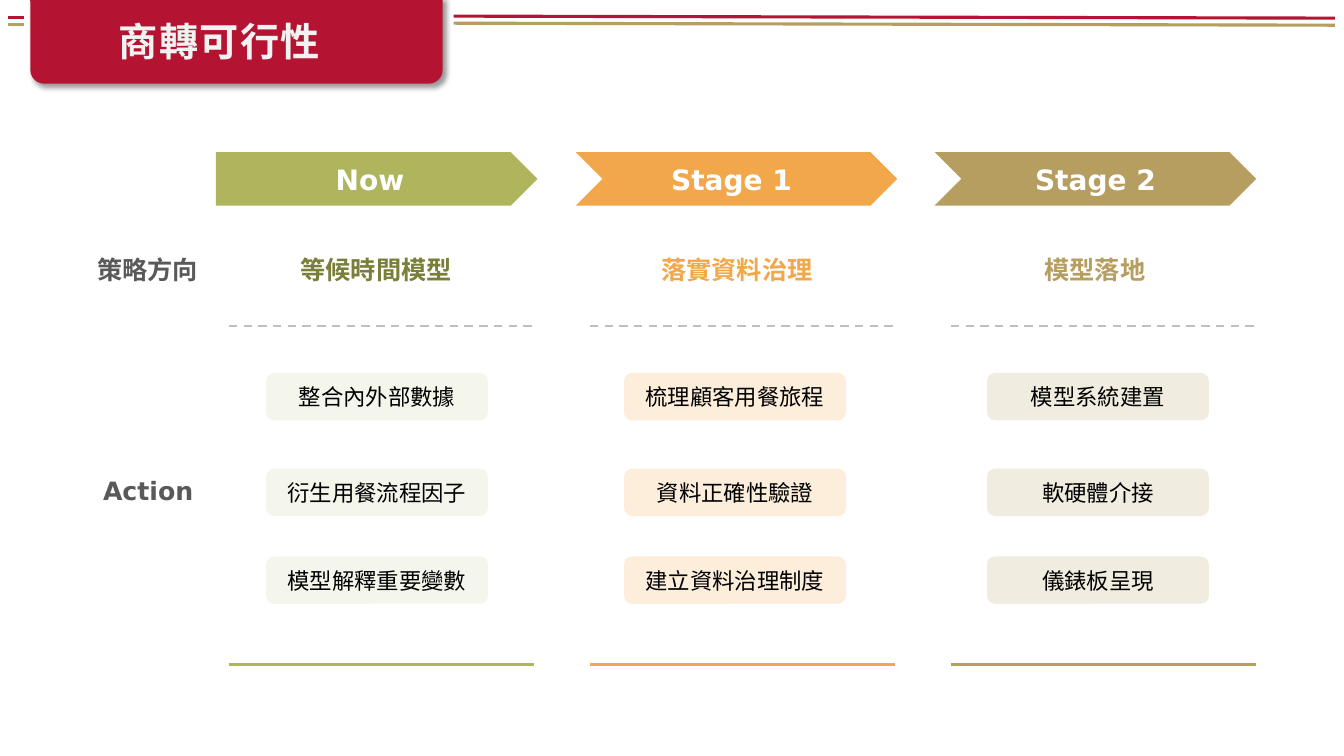
from dataclasses import dataclass

from lxml import etree
from pptx import Presentation
from pptx.dml.color import RGBColor
from pptx.enum import dml, shapes, text
from pptx.oxml import ns
from pptx.util import Pt

PX = 9144  # 100 px to the inch


@dataclass(frozen=True)
class Theme:
    red: str = "B41431"
    gold: str = "B69E60"
    green: str = "AFB55D"
    olive: str = "797E39"
    orange: str = "F2A84A"
    pale_green: str = "F5F6EB"
    pale_orange: str = "FCEEDB"
    pale_gold: str = "F0ECDF"
    gray: str = "595959"
    dash_gray: str = "BFBFBF"
    black: str = "000000"
    white: str = "FFFFFF"
    title_white: str = "F2F2F2"
    font: str = "DejaVu Sans"
    cjk_font: str = "Noto Sans CJK SC"
    title_size: int = 28
    stage_size: int = 20
    label_size: int = 18
    card_size: int = 16


THEME = Theme()


@dataclass(frozen=True)
class Stage:
    name: str
    strategy: str
    actions: tuple
    color: str
    strategy_color: str
    card_color: str
    left: int
    card_left: int


STAGES = (
    Stage("Now", "等候時間模型",
          ("整合內外部數據", "衍生用餐流程因子", "模型解釋重要變數"),
          THEME.green, THEME.olive, THEME.pale_green, 214, 264),
    Stage("Stage 1 ", "落實資料治理",
          ("梳理顧客用餐旅程", "資料正確性驗證", "建立資料治理制度"),
          THEME.orange, THEME.orange, THEME.pale_orange, 571, 619),
    Stage("Stage 2", "模型落地",
          ("模型系統建置", "軟硬體介接", "儀錶板呈現"),
          THEME.gold, THEME.gold, THEME.pale_gold, 927, 979),
)

ARROW_WIDTH, ARROW_HEIGHT, ARROW_TOP = 319, 53, 151
LABEL_HEIGHT, STRATEGY_TOP, ACTION_TOP = 40, 247, 467
RULE_LEFT, RULE_WIDTH, RULE_PITCH = 227, 303, 358
DASH_Y, BASE_Y = 323, 659
CARD_WIDTH, CARD_HEIGHT = 220, 47
CARD_TOPS = (370, 465, 552)


def px(*lengths):
    return [length * PX for length in lengths]


def write(shape, words, size, color, bold=False, font=THEME.font, wrap=True):
    frame = shape.text_frame
    frame.text = words
    frame.word_wrap = wrap
    paragraph = frame.paragraphs[0]
    run_font = paragraph.runs[0].font
    run_font.size = Pt(size)
    run_font.bold = bold
    run_font.name = font
    run_font.color.rgb = RGBColor.from_string(color)
    properties = paragraph.runs[0]._r.get_or_add_rPr()
    latin = properties.find(ns.qn("a:latin"))
    east_asian = etree.Element(ns.qn("a:ea"), typeface=THEME.cjk_font)
    latin.addnext(east_asian)
    return paragraph


def add_block(slide, kind, box, fill):
    shape = slide.shapes.add_shape(kind, *px(*box))
    shape.shadow.inherit = False
    shape.fill.solid()
    shape.fill.fore_color.rgb = RGBColor.from_string(fill)
    shape.line.fill.background()
    return shape


def add_text_block(slide, kind, box, fill, words, size, color,
                   bold=False, wrap=True):
    shape = add_block(slide, kind, box, fill)
    paragraph = write(shape, words, size, color, bold, wrap=wrap)
    paragraph.alignment = text.PP_ALIGN.CENTER
    shape.text_frame.vertical_anchor = text.MSO_ANCHOR.MIDDLE


def add_label(slide, center, top, words, color, width):
    add_text_block(slide, shapes.MSO_SHAPE.RECTANGLE,
                   (round(center - width / 2), top, width, LABEL_HEIGHT),
                   THEME.white, words, THEME.label_size, color,
                   bold=True, wrap=False)


def add_line(slide, start, end, color, width=2.25, dashed=False):
    line = slide.shapes.add_connector(
        shapes.MSO_CONNECTOR.STRAIGHT, *px(*start, *end))
    line.line.color.rgb = RGBColor.from_string(color)
    line.line.width = Pt(width)
    if dashed:
        line.line.dash_style = dml.MSO_LINE.DASH
    etree.SubElement(line._element.spPr, ns.qn("a:effectLst"))


def add_banner(slide):
    banner = add_block(slide, shapes.MSO_SHAPE.ROUND_2_SAME_RECTANGLE,
                       (30, -3, 409, 86), THEME.red)
    banner.adjustments[0] = 0.16
    banner.rotation = 180  # rounded corners at the bottom
    effects = banner._element.spPr.find(ns.qn("a:effectLst"))
    shadow = etree.SubElement(
        effects, ns.qn("a:outerShdw"), blurRad=str(Pt(4)), dist=str(Pt(3)),
        dir="2700000", algn="tl", rotWithShape="0")
    color = etree.SubElement(shadow, ns.qn("a:srgbClr"), val=THEME.black)
    etree.SubElement(color, ns.qn("a:alpha"), val="40000")


def add_title(slide, words):
    title = slide.shapes.add_textbox(*px(108, 12, 224, 57))
    paragraph = write(title, words, THEME.title_size, THEME.title_white,
                      bold=True, font=THEME.cjk_font, wrap=False)
    paragraph.runs[0]._r.get_or_add_rPr().set("spc", "100")


def add_stage(slide, index, stage):
    # Arrow and strategy
    kind = shapes.MSO_SHAPE.CHEVRON if index else shapes.MSO_SHAPE.PENTAGON
    add_text_block(slide, kind,
                   (stage.left, ARROW_TOP, ARROW_WIDTH, ARROW_HEIGHT),
                   stage.color, stage.name, THEME.stage_size, THEME.white,
                   bold=True)
    add_label(slide, stage.left + ARROW_WIDTH / 2, STRATEGY_TOP,
              stage.strategy, stage.strategy_color,
              20 + 25 * len(stage.strategy))

    # Rules above and below the actions
    left = RULE_LEFT + index * RULE_PITCH
    right = left + RULE_WIDTH
    add_line(slide, (left, DASH_Y), (right, DASH_Y), THEME.dash_gray,
             width=1.5, dashed=True)
    add_line(slide, (left, BASE_Y), (right, BASE_Y), stage.color)

    # Action cards
    for top, action in zip(CARD_TOPS, stage.actions):
        add_text_block(slide, shapes.MSO_SHAPE.ROUNDED_RECTANGLE,
                       (stage.card_left, top, CARD_WIDTH, CARD_HEIGHT),
                       stage.card_color, action, THEME.card_size, THEME.black)


def main():
    presentation = Presentation()
    presentation.slide_width, presentation.slide_height = px(1333, 750)
    slide = presentation.slides.add_slide(presentation.slide_layouts[6])

    # Header
    for color, y in ((THEME.red, 16), (THEME.gold, 23)):
        add_line(slide, (450, y), (1324, y + 2), color)
        add_line(slide, (8, y + 1), (24, y + 1), color)
    add_banner(slide)
    add_title(slide, "商轉可行性")

    # Row labels
    add_label(slide, 147, STRATEGY_TOP, "策略方向", THEME.gray, 121)
    add_label(slide, 147, ACTION_TOP, "Action", THEME.gray, 110)

    # Stage columns
    for index, stage in enumerate(STAGES):
        add_stage(slide, index, stage)

    presentation.save("out.pptx")


if __name__ == "__main__":
    main()
